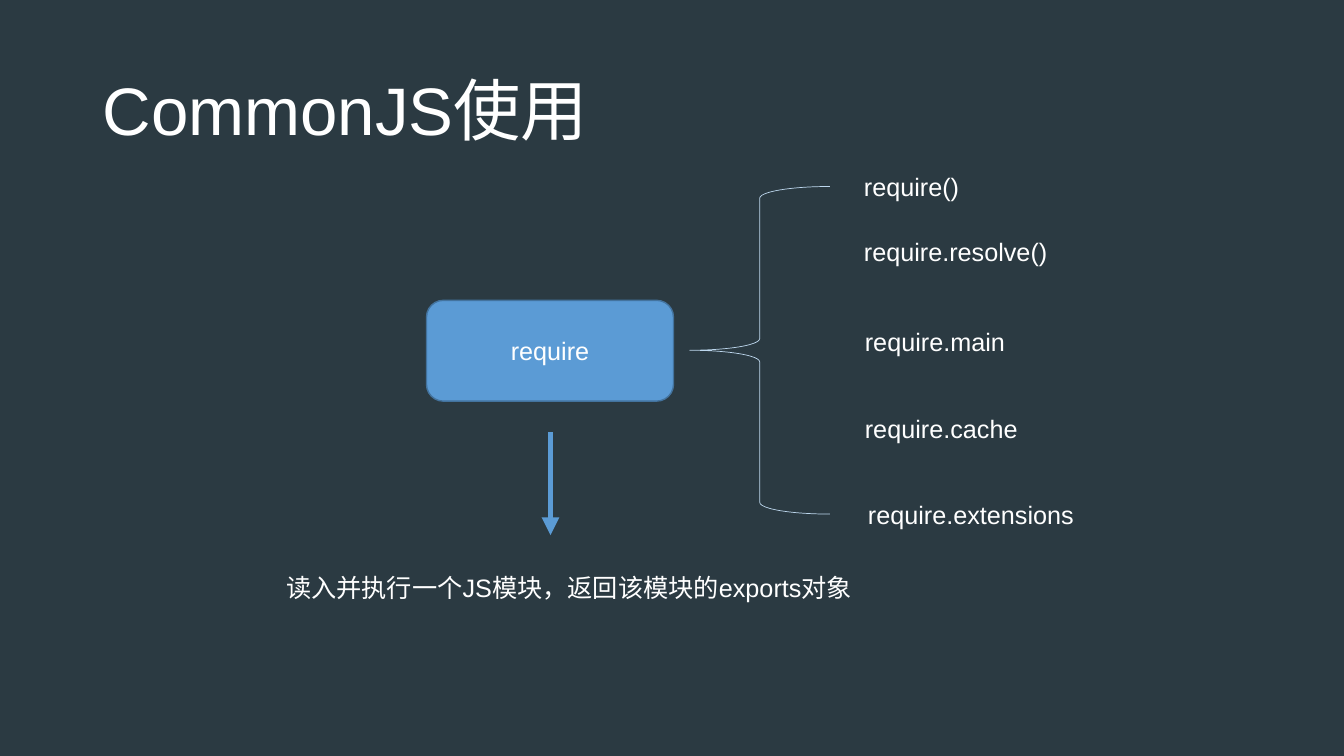
from lxml.etree import SubElement
from pptx import Presentation
from pptx.dml.color import RGBColor
from pptx.enum.shapes import MSO_CONNECTOR, MSO_SHAPE
from pptx.enum.text import MSO_ANCHOR, MSO_AUTO_SIZE, PP_ALIGN
from pptx.oxml.ns import qn
from pptx.util import Inches, Pt


def color(code):
    return RGBColor.from_string(code)


def apply(item, values):
    for name, value in values.items():
        setattr(item, name, value)


class Deck:
    white = "FFFFFF"
    blue = "5B9BD5"
    edge = "43739E"
    pale = "BDD7EE"
    font = {"name": "Arial", "size": Pt(18)}

    def __init__(self, back):
        self.show = Presentation()
        apply(self.show, {"slide_width": Inches(13.33), "slide_height": Inches(7.5)})
        self.slide = self.show.slides.add_slide(self.show.slide_layouts[6])
        fill = self.slide.background.fill
        fill.solid()
        fill.fore_color.rgb = color(back)

    def letter(self, shape, words, frame, para, font):
        apply(shape.text_frame, frame)
        line = shape.text_frame.paragraphs[0]
        apply(line, para)
        run = line.add_run()
        run.text = words
        apply(run.font, {**self.font, **font})
        run.font.color.rgb = color(self.white)

    def text(self, words, box, frame, para={}, font={}):
        shape = self.slide.shapes.add_textbox(*map(Inches, box))
        self.letter(shape, words, frame, para, font)

    def stroke(self, line, code, width):
        line.color.rgb = color(code)
        line.width = Pt(width)

    def shape(self, kind, box, code, width, fill=None):
        shape = self.slide.shapes.add_shape(kind, *map(Inches, box))
        shape.shadow.inherit = False
        if fill:
            shape.fill.solid()
            shape.fill.fore_color.rgb = color(fill)
        else:
            shape.fill.background()
        self.stroke(shape.line, code, width)
        return shape

    def node(self, words, box):
        shape = self.shape(MSO_SHAPE.ROUNDED_RECTANGLE, box, self.edge, 1, self.blue)
        self.letter(shape, words, {"vertical_anchor": MSO_ANCHOR.MIDDLE},
                    {"alignment": PP_ALIGN.CENTER}, {})

    def brace(self, box):
        self.shape(MSO_SHAPE.LEFT_BRACE, box, self.pale, 0.5)

    def arrow(self, start, end):
        link = self.slide.shapes.add_connector(
            MSO_CONNECTOR.STRAIGHT, *map(Inches, start + end))
        self.stroke(link.line, self.blue, 4.25)
        props = link._element.spPr
        SubElement(props.find(qn("a:ln")), qn("a:tailEnd"), type="triangle")
        SubElement(props, qn("a:effectLst"))


def main():
    deck = Deck("2B3A42")
    deck.text("CommonJS使用", (0.92, 0.4, 11.5, 1.45),
              {"word_wrap": True, "vertical_anchor": MSO_ANCHOR.MIDDLE},
              {"line_spacing": 0.9}, {"size": Pt(48)})
    deck.node("require", (4.23, 2.98, 2.45, 1))
    deck.arrow((5.46, 4.29), (5.46, 5.31))
    deck.text("读入并执行一个JS模块，返回该模块的exports对象",
              (2.74, 5.63, 5.87, 0.4), {"word_wrap": True})
    deck.brace((6.84, 1.85, 1.39, 3.25))
    label = {"word_wrap": False, "auto_size": MSO_AUTO_SIZE.SHAPE_TO_FIT_TEXT}
    for part, left, top, width in (
        ("()", 8.47, 1.65, 1.16),
        (".resolve()", 8.47, 2.3, 2.04),
        (".main", 8.48, 3.19, 1.6),
        (".cache", 8.48, 4.05, 1.73),
        (".extensions", 8.51, 4.9, 2.26),
    ):
        deck.text("require" + part, (left, top, width, 0.4), label)
    deck.show.save("out.pptx")


if __name__ == "__main__":
    main()
